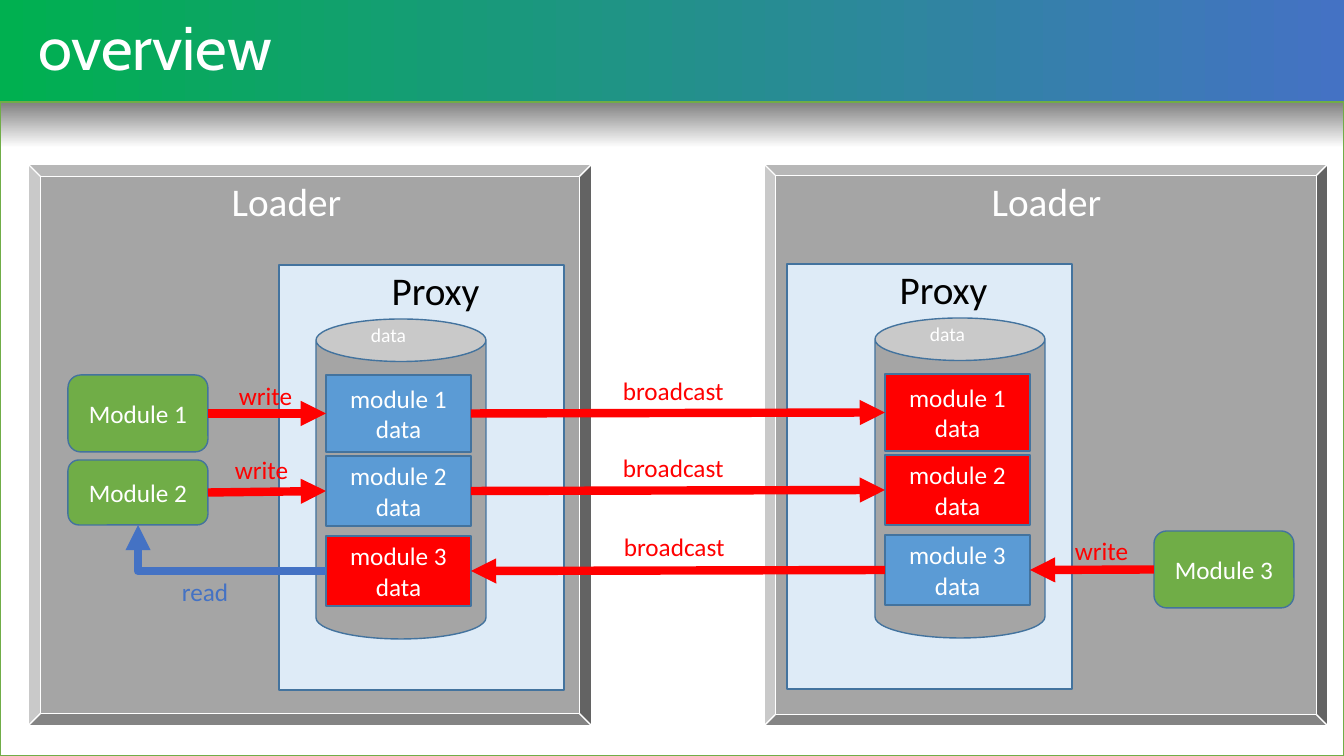
from lxml import etree
from pptx import Presentation
from pptx.dml.color import RGBColor
from pptx.enum.shapes import MSO_CONNECTOR, MSO_SHAPE
from pptx.enum.text import MSO_ANCHOR, MSO_AUTO_SIZE, PP_ALIGN
from pptx.oxml.ns import qn
from pptx.util import Emu, Pt

PX = 914400 / 100.8
COLORS = {
    "green": "00B050", "blue": "4472C4", "white": "FFFFFF", "black": "000000",
    "shade": "808080", "frame": "70AD47", "loader": "A5A5A5", "module": "70AD47",
    "edge": "43739E", "proxy": "DEEBF7", "own": "5B9BD5", "remote": "FF0000",
}
STRAIGHT, ELBOW = MSO_CONNECTOR.STRAIGHT, MSO_CONNECTOR.ELBOW
RECT, ROUNDED = MSO_SHAPE.RECTANGLE, MSO_SHAPE.ROUNDED_RECTANGLE
BEVEL, CAN = MSO_SHAPE.BEVEL, MSO_SHAPE.CAN
LEFT, CENTER, MIDDLE = PP_ALIGN.LEFT, PP_ALIGN.CENTER, MSO_ANCHOR.MIDDLE
NO_AUTOFIT = MSO_AUTO_SIZE.NONE
TOP_SITE, LEFT_SITE, BOTTOM_SITE, RIGHT_SITE = range(4)
STORE_ROWS = [(56, 77), (137, 70), (217, 70)]


def px(*lengths):
    """Turn pixel lengths into EMU."""
    return [Emu(round(length * PX)) for length in lengths]


def color(name):
    """Look up a colour of the slide."""
    return RGBColor.from_string(COLORS[name])


def write_text(frame, wording, size, ink, align=CENTER, font="Calibri"):
    """Fill a text frame with one formatted paragraph."""
    frame.text = wording
    paragraph = frame.paragraphs[0]
    paragraph.alignment = align
    for run in paragraph.runs:
        run.font.size = Pt(size)
        run.font.name = font
        run.font.color.rgb = color(ink)


def add_block(slide, kind, box, fill, edge="edge", wording=""):
    """Add an outlined shape, with centred white wording if given."""
    block = slide.shapes.add_shape(kind, *px(*box))
    block.shadow.inherit = False
    block.fill.solid()
    block.fill.fore_color.rgb = color(fill)
    block.line.color.rgb = color(edge)
    block.line.width = Pt(1)
    if wording:
        block.text_frame.vertical_anchor = MIDDLE
        write_text(block.text_frame, wording, 18, "white")
    return block


def add_label(slide, box, wording, size, ink, align=CENTER, wrap=True):
    """Add free-standing wording."""
    frame = slide.shapes.add_textbox(*px(*box)).text_frame
    frame.word_wrap = wrap
    write_text(frame, wording, size, ink, align)


def set_gradient(fill, stops, angle):
    """Apply a two-stop linear gradient."""
    fill.gradient()
    fill.gradient_angle = angle
    for stop, (position, name) in zip(fill.gradient_stops, stops):
        stop.position = position
        stop.color.rgb = color(name)


def style_arrow(arrow, ink):
    """Give a connector its heavy line and arrowhead."""
    arrow.line.color.rgb = color(ink)
    arrow.line.width = Pt(6)
    etree.SubElement(arrow.line._get_or_add_ln(), qn("a:tailEnd"), type="triangle")
    etree.SubElement(arrow._element.spPr, qn("a:effectLst"))


def add_flow(slide, source, target, forward=True):
    """Join the facing sides of two blocks with a red arrow."""
    arrow = slide.shapes.add_connector(STRAIGHT, 0, 0, 0, 0)
    arrow.begin_connect(source, RIGHT_SITE if forward else LEFT_SITE)
    arrow.end_connect(target, LEFT_SITE if forward else RIGHT_SITE)
    style_arrow(arrow, "remote")


def add_read_arrow(slide, store, module):
    """Run a blue elbow from a store's left side up to a module."""
    arrow = slide.shapes.add_connector(
        ELBOW, module.left + module.width // 2, module.top + module.height,
        store.left, store.top + store.height // 2)
    arrow._element.spPr.find(qn("a:xfrm")).set("rot", "10800000")
    arrow._element.spPr.find(qn("a:prstGeom")).set("prst", "bentConnector2")
    style_arrow(arrow, "blue")


def build_frame(slide, width, height, header):
    """Place the gradient header, title and content panel."""
    set_gradient(slide.background.fill, [(0, "green"), (1, "blue")], 0)
    panel = add_block(slide, RECT, (0, header, width, height - header), "white", "frame")
    set_gradient(panel.fill, [(0.93, "white"), (1, "shade")], 90)
    title = slide.shapes.title
    title.left, title.top, title.width, title.height = px(28, 0, 1285, header)
    frame = title.text_frame
    frame.auto_size = NO_AUTOFIT
    frame.vertical_anchor = MIDDLE
    write_text(frame, "overview", 44, "white", LEFT, "Cabin")
    frame.paragraphs[0].line_spacing = 0.9


def build_proxy(slide, left, top, can_offset, fills):
    """Place a proxy with its data can and return the module stores."""
    add_block(slide, RECT, (left, top, 285, 425), "proxy")
    add_label(slide, (left + 17, top - 4, 279, 57), "Proxy", 28, "black")
    can_left, can_top = left + can_offset, top + 54
    add_block(slide, CAN, (can_left, can_top, 170, 320), "loader")
    add_label(slide, (can_left + 28, can_top - 1, 89, 34), "data", 14, "white")
    return [
        add_block(slide, RECT, (can_left + 10, can_top + offset, 145, height),
                  fill, wording=f"module {number} data")
        for number, ((offset, height), fill) in enumerate(zip(STORE_ROWS, fills), 1)
    ]


def build_loader(slide, left, top, bevel, title_offset, proxy, fills, modules):
    """Place a loader and return its stores and modules."""
    body = add_block(slide, BEVEL, (left, top, 564, 562), "loader", "white")
    body.adjustments[0] = bevel
    add_label(slide, (left + title_offset, top + 8, 279, 57), "Loader", 28, "white")
    proxy_left, proxy_top, can_offset = proxy
    stores = build_proxy(slide, left + proxy_left, top + proxy_top, can_offset, fills)
    blocks = [
        add_block(slide, ROUNDED, (left + x, top + y, 140, height), "module", wording=name)
        for name, x, y, height in modules
    ]
    return stores, blocks


def build_flows(slide, stores, modules, far_stores, far_modules):
    """Draw and name the data flows between modules and stores."""
    for module, store in zip(modules, stores):
        add_flow(slide, module, store)
    add_read_arrow(slide, stores[2], modules[1])
    for store, far_store in zip(stores[:2], far_stores):
        add_flow(slide, store, far_store)
    add_flow(slide, far_stores[2], stores[2], forward=False)
    add_flow(slide, far_modules[0], far_stores[2], forward=False)
    for wording, left, top, width, ink in [
        ("broadcast", 613, 370, 122, "remote"),
        ("broadcast", 613, 447, 122, "remote"),
        ("broadcast", 614, 526, 122, "remote"),
        ("write", 1065, 530, 75, "remote"),
        ("write", 229, 375, 75, "remote"),
        ("write", 225, 449, 75, "remote"),
        ("read", 172, 571, 67, "blue"),
    ]:
        add_label(slide, (left, top, width, 40), wording, 18, ink, LEFT, wrap=False)


def main():
    """Build the overview slide and save it."""
    deck = Presentation()
    deck.slide_width, deck.slide_height = px(1344, 756)
    slide = deck.slides.add_slide(deck.slide_layouts[5])
    build_frame(slide, 1344, 756, 102)
    near = build_loader(
        slide, 28, 164, 0.022, 119, (251, 101, 37), ["own", "own", "remote"],
        [("Module 1", 40, 211, 77), ("Module 2", 40, 296, 65)])
    far = build_loader(
        slide, 764, 164, 0.02, 143, (23, 100, 88), ["remote", "remote", "own"],
        [("Module 3", 390, 367, 77)])
    build_flows(slide, *near, *far)
    deck.save("out.pptx")


if __name__ == "__main__":
    main()
